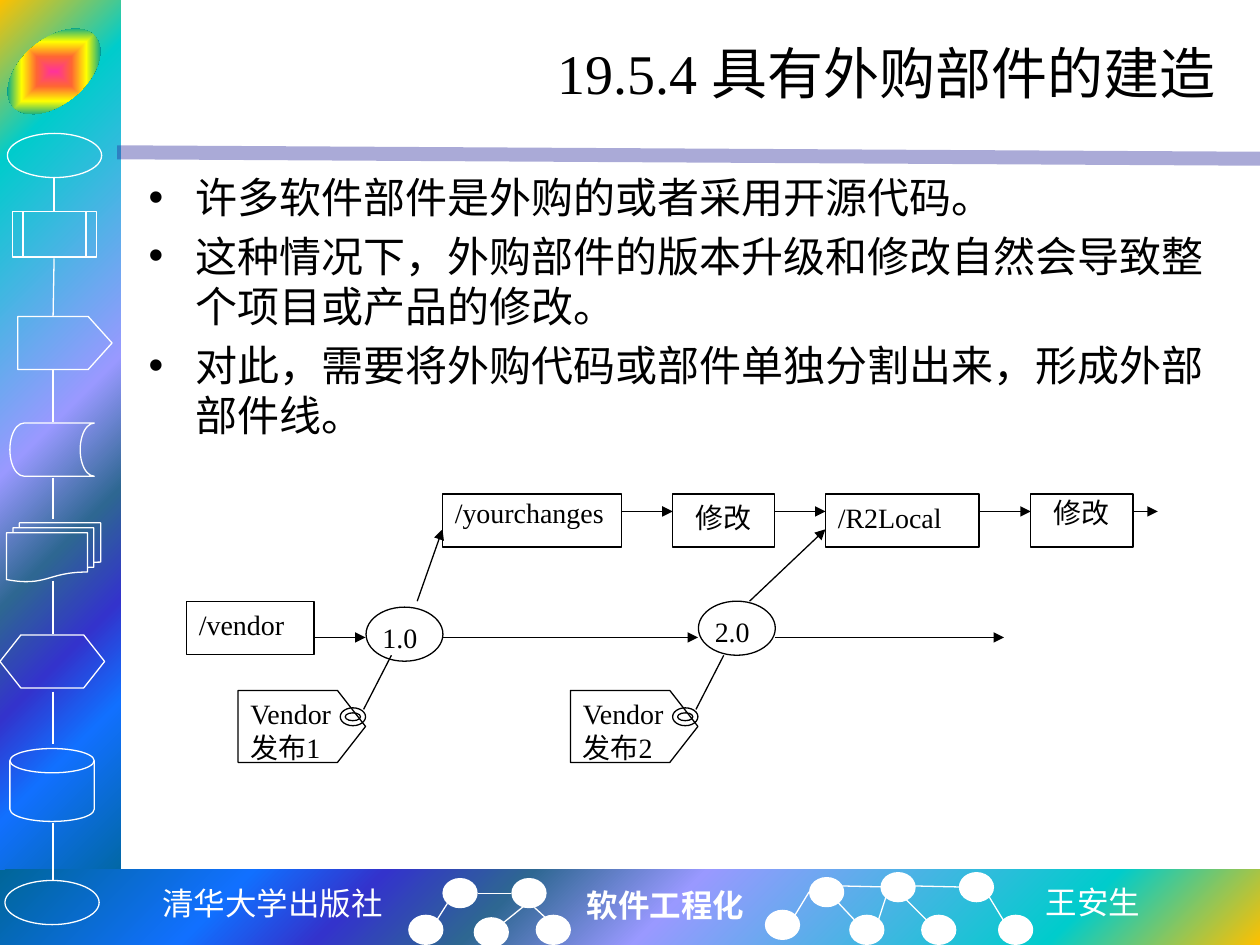
"""Build the slide on builds that use bought-in components."""
from lxml.etree import SubElement
from pptx import Presentation
from pptx.dml.color import RGBColor
from pptx.enum.shapes import MSO_CONNECTOR, MSO_SHAPE
from pptx.enum.text import MSO_ANCHOR, MSO_AUTO_SIZE, PP_ALIGN
from pptx.oxml import parse_xml
from pptx.oxml.ns import nsdecls, qn
from pptx.util import Cm, Pt

WHITE, BLACK = "FFFFFF", "000000"
SERIF = "Times New Roman"
LINE = MSO_CONNECTOR.STRAIGHT
OVAL = MSO_SHAPE.OVAL
RECT = MSO_SHAPE.RECTANGLE
tint = RGBColor.from_string

deck = Presentation()
deck.slide_width, deck.slide_height = Cm(25.4), Cm(19.05)
slide = deck.slides.add_slide(deck.slide_layouts[1])
shapes = slide.shapes


def draw(kind, box, ink=None, fill=None, arrow=False, width=0.75):
    """Add a preset shape, or a line when kind is LINE."""
    if kind is LINE:
        item = shapes.add_connector(kind, *map(Cm, box))
        SubElement(item._element.spPr, qn("a:effectLst"))
    else:
        item = shapes.add_shape(kind, *map(Cm, box))
        item.shadow.inherit = False
        if fill:
            item.fill.solid()
            item.fill.fore_color.rgb = tint(fill)
        else:
            item.fill.background()
    if ink:
        item.line.color.rgb = tint(ink)
        item.line.width = Pt(width)
    else:
        item.line.fill.background()
    if arrow:
        SubElement(item.line._get_or_add_ln(), qn("a:tailEnd"), type="triangle")
    return item


def write(frame, text, size=16, font=SERIF, ink=BLACK, bold=False,
          align=PP_ALIGN.LEFT, anchor=MSO_ANCHOR.TOP, wrap=True,
          pitch=None, bullet=None, gap=0):
    """Fill a text frame, one paragraph for each line of text."""
    frame.word_wrap = wrap
    frame.auto_size = MSO_AUTO_SIZE.NONE
    frame.vertical_anchor = anchor
    for rank, line in enumerate(text.split("\n")):
        para = frame.add_paragraph() if rank else frame.paragraphs[0]
        para.alignment = align
        para.space_before = Pt(gap if rank else 0)
        if pitch:
            para.line_spacing = Pt(pitch)
        if bullet:
            props = para._p.get_or_add_pPr()
            props.set("marL", str(Cm(0.95)))
            props.set("indent", str(Cm(-0.95)))
            SubElement(props, qn("a:buChar"), char=bullet)
        run = para.add_run()
        run.text = line
        run.font.size = Pt(size)
        run.font.name = font
        run.font.bold = bold
        run.font.color.rgb = tint(ink)


sky = ((0, "FFC000"), (16, "00CCCC"), (47, "9999FF"), (60, "2E6792"),
       (71, "3333CC"), (81, "1170FF"), (100, "006699"))
glow = ((0, "FF3399"), (25, "FF6633"), (50, "FFFF00"),
        (75, "01A78F"), (100, "3366FF"))
blends = (
    (RECT, (0, 0, 2.44, 18.01), sky, "circle", (0, 0, 100, 100), 0),
    (RECT, (0, 17.53, 25.4, 1.52), sky, "circle", (100, 100, 0, 0), 0),
    (OVAL, (0, 0.79, 2.18, 1.3), glow, "shape", (50, 50, 50, 50), -40),
)
for kind, box, stops, path, focus, turn in blends:
    item = draw(kind, box)
    item.rotation = turn
    marks = "".join(f'<a:gs pos="{pos * 1000}"><a:srgbClr val="{hue}"/></a:gs>'
                    for pos, hue in stops)
    edges = " ".join(f'{side}="{part * 1000}"' for side, part in zip("ltrb", focus))
    blend = parse_xml(
        f'<a:gradFill {nsdecls("a")} rotWithShape="1"><a:gsLst>{marks}</a:gsLst>'
        f'<a:path path="{path}"><a:fillToRect {edges}/></a:path></a:gradFill>')
    props = item._element.spPr
    props.replace(props.find(qn("a:noFill")), blend)

rule = draw(LINE, (2.36, 3.07, 25.4, 3.2), "262699", width=8)
hue = next(rule._element.spPr.iter(qn("a:srgbClr")))
SubElement(hue, qn("a:alpha"), val="39000")

icons = (
    (OVAL, (0.15, 2.69, 1.9, 0.89)),
    (MSO_SHAPE.FLOWCHART_PREDEFINED_PROCESS, (0.25, 4.27, 1.7, 0.91)),
    (MSO_SHAPE.PENTAGON, (0.36, 6.38, 1.9, 1.07)),
    (MSO_SHAPE.FLOWCHART_STORED_DATA, (0.2, 8.53, 1.7, 1.07)),
    (MSO_SHAPE.FLOWCHART_MULTIDOCUMENT, (0.13, 10.54, 1.9, 1.19)),
    (MSO_SHAPE.FLOWCHART_PREPARATION, (0, 12.8, 2.11, 1.07)),
    (MSO_SHAPE.FLOWCHART_MAGNETIC_DISK, (0.2, 15.09, 1.7, 1.47)),
    (OVAL, (0.1, 17.75, 1.9, 0.89)),
)
for kind, box in icons:
    icon = draw(kind, box, WHITE)
    if kind is MSO_SHAPE.PENTAGON:
        icon.adjustments[0] = 0.45

for top, end in ((3.56, 4.27), (5.21, 6.38), (7.44, 8.51), (9.63, 10.46),
                 (11.71, 12.78), (13.94, 14.99), (16.59, 17.75)):
    draw(LINE, (1.09 if top < 6 else 1.07, top, 1.09 if top < 4 else 1.07, end), WHITE)

dots = ((8.92, 17.7), (16.31, 17.68), (8.23, 18.44), (17.12, 18.44),
        (17.75, 17.58), (9.55, 18.49), (19.33, 17.58), (20.12, 18.44),
        (18.57, 18.44), (10.31, 17.7), (15.42, 18.34), (10.8, 18.44))
for left, top in dots:
    draw(OVAL, (left, top, 0.71, 0.61), fill=WHITE)

links = (
    (8.81, 18.54, 9.02, 18.21), (10.16, 18.59, 10.57, 18.26),
    (10.31, 18.01, 9.63, 18.01), (11.02, 18.52, 10.77, 18.29),
    (16.03, 18.44, 16.31, 17.98), (17.22, 18.54, 16.89, 18.19),
    (16.97, 17.86, 17.86, 17.88), (17.7, 18.57, 17.86, 18.08),
    (18.67, 18.54, 18.16, 18.03), (18.44, 17.86, 19.33, 17.88),
    (20.22, 18.54, 19.94, 18.08),
)
for ends in links:
    draw(LINE, ends, WHITE)

for text, box, font, bold in (
        ("清华大学出版社", (3.02, 17.7, 5, 1.02), "Noto Sans Mono", False),
        ("软件工程化", (11.58, 17.73, 3.71, 1.02), SERIF, True),
        ("王安生", (20.83, 17.68, 2.44, 1.02), "Noto Sans CJK SC", False)):
    frame = shapes.add_textbox(*map(Cm, box)).text_frame
    write(frame, text, size=18, font=font, ink=WHITE, bold=bold, wrap=False)

title, body = shapes.title, slide.placeholders[1]
for item, box in ((title, (3.18, 0.43, 21.59, 2.06)), (body, (2.74, 3.33, 22.23, 5.44))):
    item.left, item.top, item.width, item.height = map(Cm, box)
write(title.text_frame, "19.5.4 具有外购部件的建造", size=32,
      align=PP_ALIGN.RIGHT, anchor=MSO_ANCHOR.MIDDLE)
write(body.text_frame,
      "许多软件部件是外购的或者采用开源代码。\n"
      "这种情况下，外购部件的版本升级和修改自然会导致整个项目或产品的修改。\n"
      "对此，需要将外购代码或部件单独分割出来，形成外部部件线。",
      size=24, bullet="•", gap=4.8)

for text, left, top, width, align, pitch in (
        ("/vendor", 3.76, 12.12, 2.57, PP_ALIGN.JUSTIFY, None),
        ("/yourchanges", 8.92, 9.96, 3.61, PP_ALIGN.JUSTIFY, 16.6),
        ("修改", 13.56, 9.96, 2.06, PP_ALIGN.CENTER, None),
        ("/R2Local", 16.64, 9.96, 3.1, PP_ALIGN.JUSTIFY, None),
        ("修改", 20.78, 9.96, 2.06, PP_ALIGN.CENTER, 16.6)):
    frame = draw(RECT, (left, top, width, 1.07), BLACK).text_frame
    write(frame, text, align=align, pitch=pitch)

for num, left, top, goal in ((1, 4.8, 12.24, 8.92), (2, 11.5, 12.12, 16.64)):
    tag = draw(MSO_SHAPE.PENTAGON, (left, 13.92, 2.57, 1.45), BLACK)
    tag.adjustments[0] = 0.39
    write(tag.text_frame, f"Vendor发布{num}", align=PP_ALIGN.JUSTIFY)
    ring = draw(MSO_SHAPE.DONUT, (left + 2.06, 14.27, 0.51, 0.36), BLACK)
    ring.adjustments[0] = 0.28
    draw(OVAL, (left + 2.58, top, 1.55, 1.09), BLACK)
    frame = shapes.add_textbox(Cm(left + 2.66), Cm(top + 0.15), Cm(1.55), Cm(1.09)).text_frame
    write(frame, f"{num}.0", align=PP_ALIGN.JUSTIFY)
    draw(LINE, (left + 2.53, 14.3, left + 3.09, 13.21), BLACK)
    draw(LINE, (left + 3.61, 12.12, goal, 10.67), BLACK, arrow=True)

for start, end, level in ((6.35, 7.37, 12.85), (8.92, 14.07, 12.85),
                          (15.62, 20.24, 12.85), (12.52, 13.56, 10.31),
                          (15.62, 16.64, 10.31), (19.74, 20.78, 10.31),
                          (22.83, 23.34, 10.31)):
    draw(LINE, (start, level, end, level), BLACK, arrow=True)

deck.save("out.pptx")
